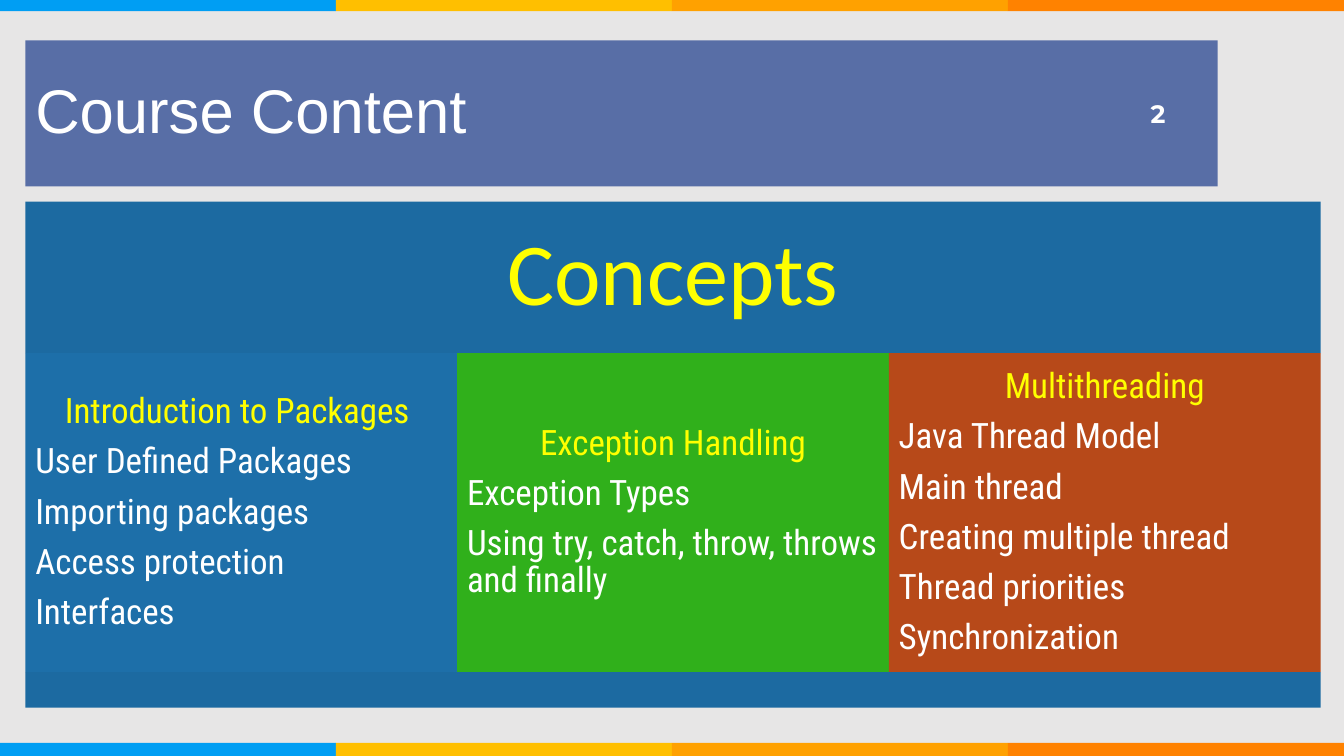
from dataclasses import dataclass

from pptx import Presentation
from pptx.dml.color import RGBColor
from pptx.enum.shapes import MSO_SHAPE
from pptx.enum.text import MSO_ANCHOR, PP_ALIGN
from pptx.util import Cm, Pt

RECTANGLE = MSO_SHAPE.RECTANGLE
MIDDLE = MSO_ANCHOR.MIDDLE
LEFT, CENTER, RIGHT = PP_ALIGN.LEFT, PP_ALIGN.CENTER, PP_ALIGN.RIGHT


@dataclass(frozen=True)
class Theme:
    background: str = "E7E6E6"
    stripes: tuple = ("009EF3", "FFBF00", "FFA100", "FF8200")
    title_fill: str = "586EA6"
    band_fill: str = "1C6AA1"
    topic_fills: tuple = ("1D6FA9", "30B01B", "B74919")
    heading: str = "FFFF00"
    text: str = "FFFFFF"
    title_font: str = "Arial"
    concepts_font: str = "Calibri"
    topic_font: str = "Roboto Condensed"
    number_font: str = "Montserrat"
    title_size: int = 44
    concepts_size: int = 63
    topic_size: int = 25
    number_size: int = 18
    line_spacing: float = 0.9
    space_after: float = 0.35  # share of the type size


THEME = Theme()
PAGE_WIDTH, PAGE_HEIGHT = 33.87, 19.05
EDGE, BODY_WIDTH = 0.64, 32.64
TOPIC_TOP, TOPIC_HEIGHT = 8.9, 8.04

TOPICS = (
    ("Introduction to Packages ", ("User Defined Packages", "Importing packages",
                                   "Access protection", "Interfaces")),
    ("Exception Handling", ("Exception Types",
                            "Using try, catch, throw, throws and finally")),
    ("Multithreading", ("Java Thread Model", "Main thread",
                        "Creating multiple thread", "Thread priorities",
                        "Synchronization")),
)


def add_block(page, left, top, width, height, fill):
    box = page.shapes.add_shape(RECTANGLE, Cm(left), Cm(top), Cm(width), Cm(height))
    box.shadow.inherit = False
    box.fill.solid()
    box.fill.fore_color.rgb = RGBColor.from_string(fill)
    box.line.fill.background()
    return box


def prepare_frame(box, side=0.25, edge=0.13):
    frame = box.text_frame
    frame.word_wrap = True
    frame.vertical_anchor = MIDDLE
    frame.margin_left = frame.margin_right = Cm(side)
    frame.margin_top = frame.margin_bottom = Cm(edge)
    return frame


def style_para(para, align, line_spacing=1.0, space_after=0):
    para.alignment = align
    para.line_spacing = line_spacing
    para.space_after = Pt(space_after)


def add_span(para, text, font, size, color, bold=False):
    span = para.add_run()
    span.text = text
    span.font.name = font
    span.font.size = Pt(size)
    span.font.bold = bold
    span.font.color.rgb = RGBColor.from_string(color)


def add_stripes(page, top, height):
    width = PAGE_WIDTH / len(THEME.stripes)
    for index, color in enumerate(THEME.stripes):
        add_block(page, index * width, top, width, height, color)


def add_title(page):
    box = add_block(page, EDGE, 1.02, 30.05, 3.68, THEME.title_fill)
    para = prepare_frame(box).paragraphs[0]
    style_para(para, LEFT, THEME.line_spacing)
    add_span(para, "Course Content", THEME.title_font, THEME.title_size, THEME.text)


def add_concepts(page):
    box = add_block(page, EDGE, 5.08, BODY_WIDTH, 3.82, THEME.band_fill)
    para = prepare_frame(box, 0.66, 0.66).paragraphs[0]
    style_para(para, CENTER, THEME.line_spacing,
               THEME.space_after * THEME.concepts_size)
    add_span(para, "Concepts", THEME.concepts_font, THEME.concepts_size, THEME.heading)


def add_topic(page, left, width, fill, heading, items):
    box = add_block(page, left, TOPIC_TOP, width, TOPIC_HEIGHT, fill)
    frame = prepare_frame(box, 0.25, 0.25)
    lines = [(heading, CENTER, THEME.heading)]
    lines += [(item, LEFT, THEME.text) for item in items]
    for index, (text, align, color) in enumerate(lines):
        para = frame.add_paragraph() if index else frame.paragraphs[0]
        style_para(para, align, THEME.line_spacing,
                   THEME.space_after * THEME.topic_size)
        add_span(para, text, THEME.topic_font, THEME.topic_size, color)


def add_page_number(page):
    box = page.shapes.add_textbox(Cm(28.17), Cm(2.34), Cm(1.45), Cm(1.02))
    para = prepare_frame(box).paragraphs[0]
    style_para(para, RIGHT)
    add_span(para, "2", THEME.number_font, THEME.number_size, THEME.text, bold=True)


def main():
    deck = Presentation()
    deck.slide_width, deck.slide_height = Cm(PAGE_WIDTH), Cm(PAGE_HEIGHT)
    page = deck.slides.add_slide(deck.slide_layouts[6])
    page.background.fill.solid()
    page.background.fill.fore_color.rgb = RGBColor.from_string(THEME.background)

    # Coloured stripes along the bottom and top
    add_stripes(page, 18.72, 0.33)
    add_stripes(page, 0, 0.28)

    # Title and heading band
    add_title(page)
    add_concepts(page)

    # Three equal topic columns
    width = BODY_WIDTH / len(TOPICS)
    for index, (heading, items) in enumerate(TOPICS):
        add_topic(page, EDGE + index * width, width,
                  THEME.topic_fills[index], heading, items)

    # Closing band and page number
    add_block(page, EDGE, TOPIC_TOP + TOPIC_HEIGHT, BODY_WIDTH, 0.89, THEME.band_fill)
    add_page_number(page)
    deck.save("out.pptx")


if __name__ == "__main__":
    main()
